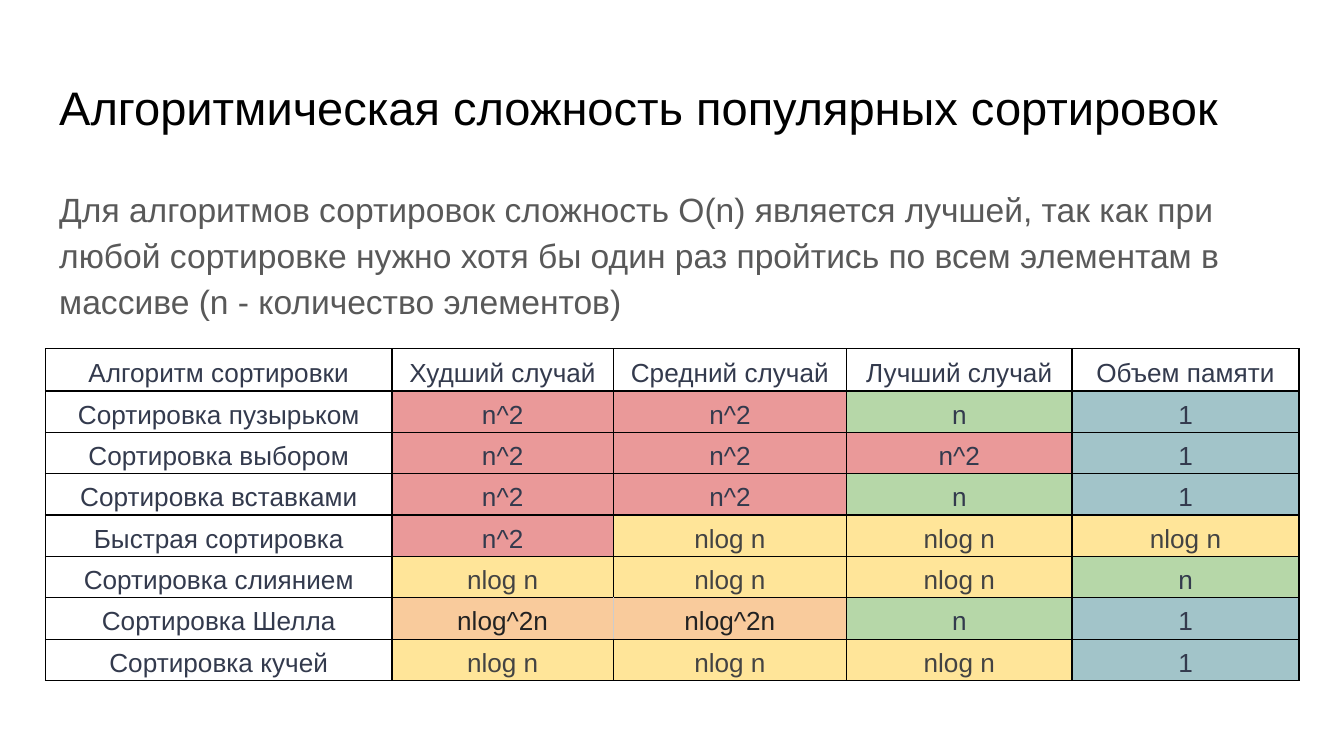
from lxml import etree
from pptx import Presentation
from pptx import util as u
from pptx.dml import color
from pptx.enum import text
from pptx.oxml import ns

COLORS = {
    "black": "000000", "gray": "595959", "navy": "333A4D",
    "charcoal": "434343", "dark": "222222", "silver": "CCCCCC",
    "red": "EA9999", "green": "B6D7A8", "blue": "A2C4C9",
    "yellow": "FFE599", "orange": "F9CB9C",
}
STYLES = {
    "n^2": ("red", "navy"),
    "n": ("green", "navy"),
    "1": ("blue", "navy"),
    "nlog n": ("yellow", "charcoal"),
    "nlog^2n": ("orange", "dark"),
}
ROWS = [
    ["Алгоритм сортировки", "Худший случай", "Средний случай", "Лучший случай", "Объем памяти"],
    ["Сортировка пузырьком", "n^2", "n^2", "n", "1"],
    ["Сортировка выбором", "n^2", "n^2", "n^2", "1"],
    ["Сортировка вставками", "n^2", "n^2", "n", "1"],
    ["Быстрая сортировка", "n^2", "nlog n", "nlog n", "nlog n"],
    ["Сортировка слиянием", "nlog n", "nlog n", "nlog n", "n"],
    ["Сортировка Шелла", "nlog^2n", "nlog^2n", "n", "1"],
    ["Сортировка кучей", "nlog n", "nlog n", "nlog n", "1"],
]
WIDTHS = [6.55, 4.18, 4.41, 4.26, 4.29]
HEIGHTS = [0.8] + [0.75] * (len(ROWS) - 1)


def write(para, words, size, shade, formats):
    for name, value in formats.items():
        setattr(para, name, value)
    span = para.add_run()
    span.text = words
    span.font.name = "Arial"
    span.font.size = u.Pt(size)
    span.font.color.rgb = color.RGBColor.from_string(COLORS[shade])


def add_borders(cell, shades):
    properties = cell._tc.get_or_add_tcPr()
    for index, (side, shade) in enumerate(shades.items()):
        line = etree.Element(ns.qn("a:ln" + side), w=str(u.Pt(0.75)))
        fill = etree.SubElement(line, ns.qn("a:solidFill"))
        etree.SubElement(fill, ns.qn("a:srgbClr"), val=COLORS[shade])
        properties.insert(index, line)


deck = Presentation()
deck.slide_width, deck.slide_height = u.Cm(25.4), u.Cm(14.29)
page = deck.slides.add_slide(deck.slide_layouts[6])

TEXTS = [
    (1.24, 1.6, 25.2, "black", {},
     "Алгоритмическая сложность популярных сортировок"),
    (3.2, 3.66, 18, "gray", {"line_spacing": 1.15, "space_after": u.Pt(12)},
     "Для алгоритмов сортировок сложность O(n) является лучшей, так как при "
     "любой сортировке нужно хотя бы один раз пройтись по всем элементам в "
     "массиве (n - количество элементов)"),
]
for top, height, size, shade, formats, words in TEXTS:
    box = page.shapes.add_textbox(u.Cm(0.87), u.Cm(top), u.Cm(23.67), u.Cm(height))
    box.text_frame.word_wrap = True
    for side in ("left", "top", "right", "bottom"):
        setattr(box.text_frame, "margin_" + side, u.Cm(0.25))
    write(box.text_frame.paragraphs[0], words, size, shade, formats)

table = page.shapes.add_table(
    len(ROWS), len(WIDTHS), u.Cm(0.86), u.Cm(6.59),
    u.Cm(sum(WIDTHS)), u.Cm(sum(HEIGHTS))).table
table.first_row = table.horz_banding = False
for column, width in zip(table.columns, WIDTHS):
    column.width = u.Cm(width)
for row, height in zip(table.rows, HEIGHTS):
    row.height = u.Cm(height)

CELL_FORMAT = {
    "vertical_anchor": text.MSO_ANCHOR.BOTTOM,
    "margin_left": u.Cm(0.08), "margin_right": u.Cm(0.08),
    "margin_top": u.Cm(0.05), "margin_bottom": u.Cm(0.05),
}
for row_index, values in enumerate(ROWS):
    for column_index, value in enumerate(values):
        cell = table.cell(row_index, column_index)
        for name, setting in CELL_FORMAT.items():
            setattr(cell, name, setting)
        back, shade = STYLES.get(value, (None, "navy"))
        if back:
            cell.fill.solid()
            cell.fill.fore_color.rgb = color.RGBColor.from_string(COLORS[back])
        else:
            cell.fill.background()
        borders = dict.fromkeys("LRTB", "black")
        if value == "nlog^2n":
            borders["R" if column_index == 1 else "L"] = "silver"
        add_borders(cell, borders)
        write(cell.text_frame.paragraphs[0], value, 14, shade,
              {"alignment": text.PP_ALIGN.CENTER, "line_spacing": 1.15})

deck.save("out.pptx")
